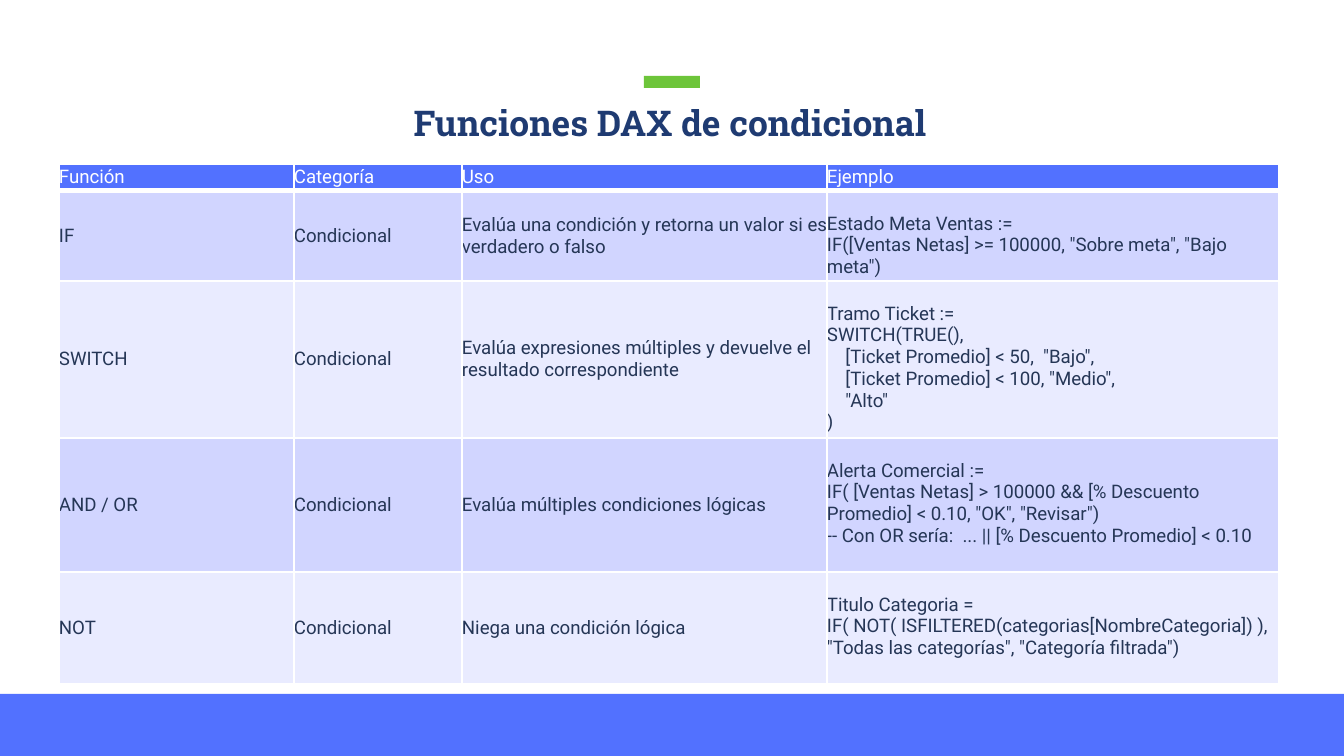
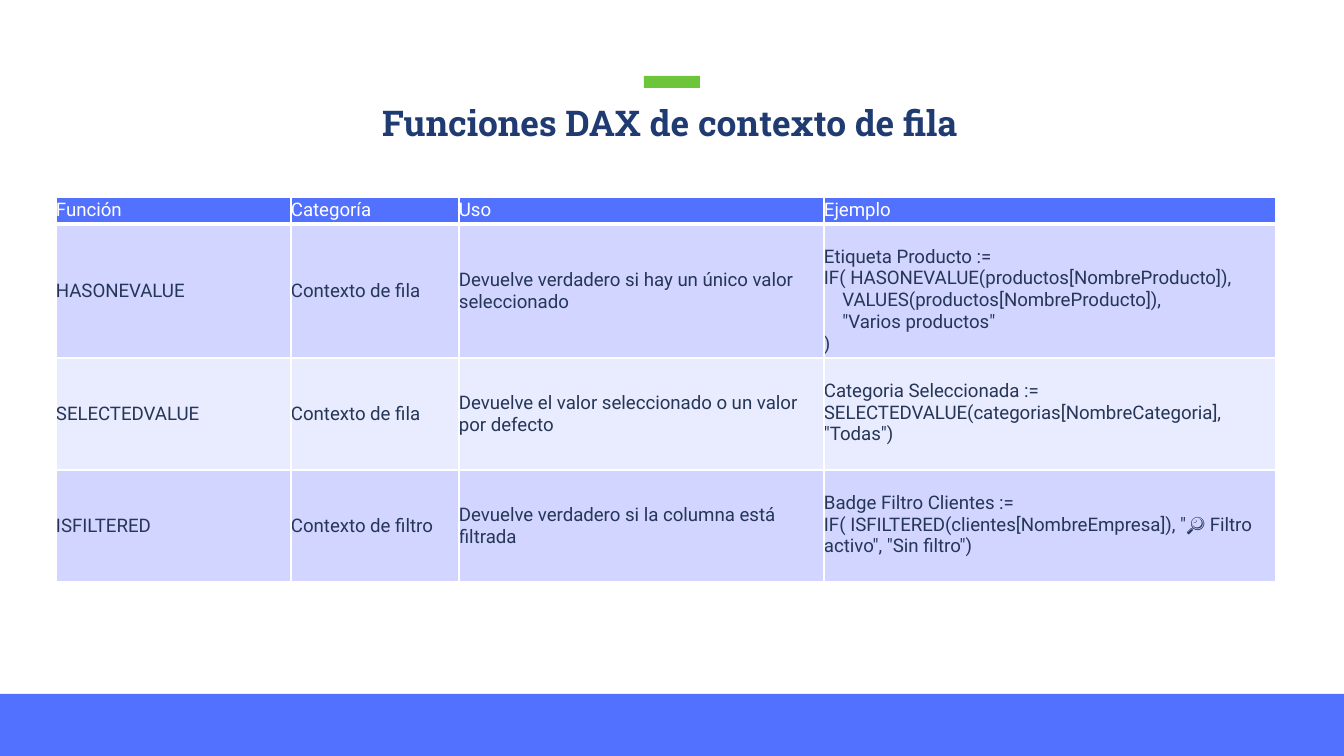
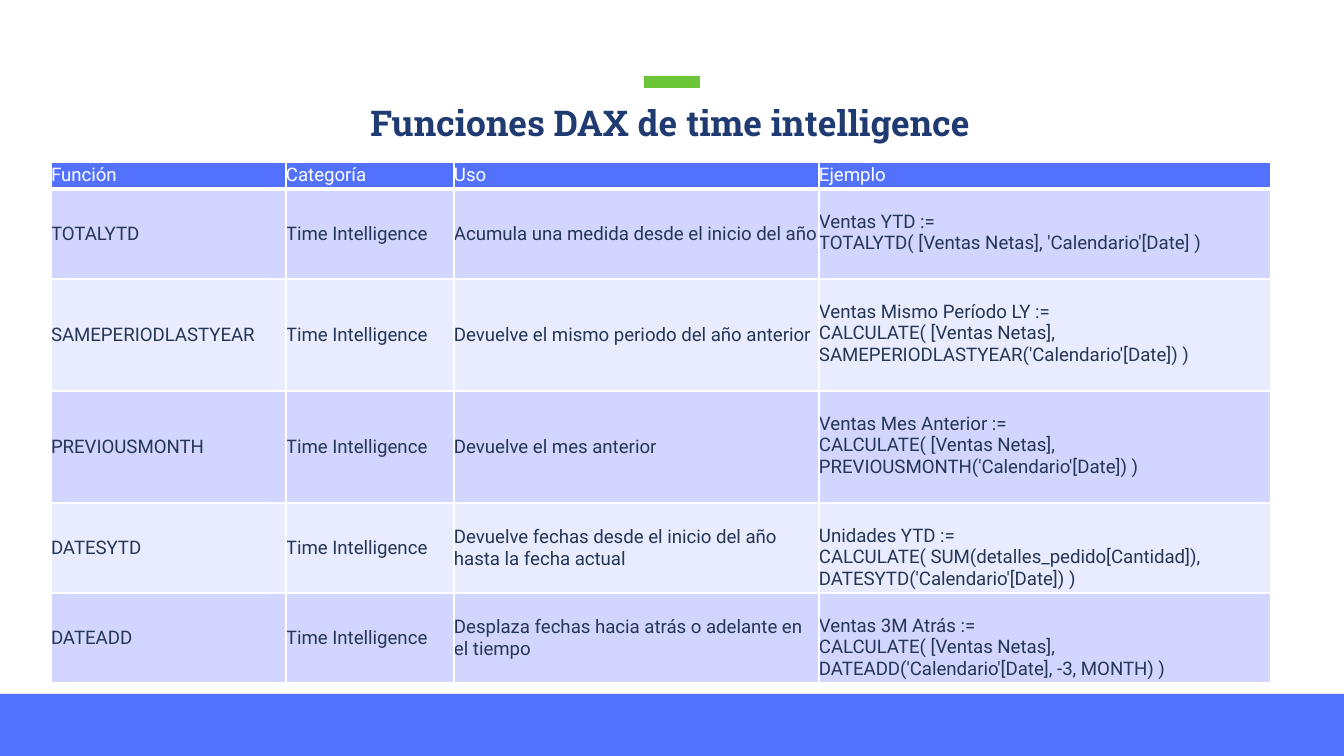
from lxml import etree
from pptx import Presentation
from pptx.dml.color import RGBColor
from pptx.enum.shapes import MSO_SHAPE
from pptx.enum.text import MSO_ANCHOR, PP_ALIGN
from pptx.oxml.ns import qn
from pptx.util import Pt

RECT = MSO_SHAPE.RECTANGLE
TOP, MIDDLE = MSO_ANCHOR.TOP, MSO_ANCHOR.MIDDLE
CENTER = PP_ALIGN.CENTER

WIDTH, HEIGHT = 1344, 756
EMU_PER_PX = 9144000 / WIDTH
COLORS = {
    "title": "1F3B72", "text": "253656", "blue": "5271FF", "green": "6DC53A",
    "dark_row": "D1D5FF", "light_row": "E9EBFF", "white": "FFFFFF",
}
TITLE_FONT, BODY_FONT = "Roboto Slab", "Roboto"

HEADERS = ["Función", "Categoría", "Uso", "Ejemplo"]
COLUMN_WIDTHS = [235, 168, 365, 452]
HEADER_HEIGHT = 27
LINE_HEIGHT = 22.4
EXAMPLE_TOP = 22

# Each table row: height in text lines, then the four cells.
SLIDES = [
    ("Funciones DAX de condicional", 59, 164, [
        (4, "IF", "Condicional",
         "Evalúa una condición y retorna un valor si es verdadero o falso",
         'Estado Meta Ventas :=\n'
         'IF([Ventas Netas] >= 100000, "Sobre meta", "Bajo meta")'),
        (7, "SWITCH", "Condicional",
         "Evalúa expresiones múltiples y devuelve el resultado correspondiente",
         'Tramo Ticket :=\n'
         'SWITCH(TRUE(),\n'
         '    [Ticket Promedio] < 50,  "Bajo",\n'
         '    [Ticket Promedio] < 100, "Medio",\n'
         '    "Alto"\n'
         ')'),
        (6, "AND / OR", "Condicional", "Evalúa múltiples condiciones lógicas",
         'Alerta Comercial :=\n'
         'IF( [Ventas Netas] > 100000 && [% Descuento Promedio] < 0.10, "OK", "Revisar")\n'
         '-- Con OR sería:  ... || [% Descuento Promedio] < 0.10'),
        (5, "NOT", "Condicional", "Niega una condición lógica",
         'Titulo Categoria =\n'
         'IF( NOT( ISFILTERED(categorias[NombreCategoria]) ), '
         '"Todas las categorías", "Categoría filtrada")'),
    ]),
    ("Funciones DAX de contexto de fila", 56, 197, [
        (6, "HASONEVALUE", "Contexto de fila",
         "Devuelve verdadero si hay un único valor seleccionado",
         'Etiqueta Producto :=\n'
         'IF( HASONEVALUE(productos[NombreProducto]),\n'
         '    VALUES(productos[NombreProducto]),\n'
         '    "Varios productos"\n'
         ')'),
        (5, "SELECTEDVALUE", "Contexto de fila",
         "Devuelve el valor seleccionado o un valor por defecto",
         'Categoria Seleccionada :=\n'
         'SELECTEDVALUE(categorias[NombreCategoria], "Todas")'),
        (5, "ISFILTERED", "Contexto de filtro",
         "Devuelve verdadero si la columna está filtrada",
         'Badge Filtro Clientes :=\n'
         'IF( ISFILTERED(clientes[NombreEmpresa]), "🔎 Filtro activo", "Sin filtro")'),
    ]),
    ("Funciones DAX de time intelligence", 51, 162, [
        (4, "TOTALYTD", "Time Intelligence",
         "Acumula una medida desde el inicio del año",
         "Ventas YTD :=\n"
         "TOTALYTD( [Ventas Netas], 'Calendario'[Date] )"),
        (5, "SAMEPERIODLASTYEAR", "Time Intelligence",
         "Devuelve el mismo periodo del año anterior",
         "Ventas Mismo Período LY :=\n"
         "CALCULATE( [Ventas Netas], SAMEPERIODLASTYEAR('Calendario'[Date]) )"),
        (5, "PREVIOUSMONTH", "Time Intelligence", "Devuelve el mes anterior",
         "Ventas Mes Anterior :=\n"
         "CALCULATE( [Ventas Netas], PREVIOUSMONTH('Calendario'[Date]) )"),
        (4, "DATESYTD", "Time Intelligence",
         "Devuelve fechas desde el inicio del año hasta la fecha actual",
         "Unidades YTD :=\n"
         "CALCULATE( SUM(detalles_pedido[Cantidad]), DATESYTD('Calendario'[Date]) )"),
        (4, "DATEADD", "Time Intelligence",
         "Desplaza fechas hacia atrás o adelante en el tiempo",
         "Ventas 3M Atrás :=\n"
         "CALCULATE( [Ventas Netas], DATEADD('Calendario'[Date], -3, MONTH) )"),
    ]),
]


def px(n):
    return round(n * EMU_PER_PX)


def rgb(name):
    return RGBColor.from_string(COLORS[name])


def set_borders(cell, bottom):
    """Draw white cell borders, 1 pt wide except for the bottom one."""
    tc_pr = cell._tc.get_or_add_tcPr()
    for i, (side, width) in enumerate([("L", 1), ("R", 1), ("T", 1), ("B", bottom)]):
        ln = etree.Element(qn(f"a:ln{side}"), w=str(Pt(width)))
        fill = etree.SubElement(ln, qn("a:solidFill"))
        etree.SubElement(fill, qn("a:srgbClr"), val=COLORS["white"])
        tc_pr.insert(i, ln)


class Deck:
    def __init__(self):
        self.prs = Presentation()
        self.prs.slide_width, self.prs.slide_height = px(WIDTH), px(HEIGHT)
        self.s = None

    def add_slide(self, title):
        """Start a slide with the shared title, footer band and accent bar."""
        self.s = self.prs.slides.add_slide(self.prs.slide_layouts[6])
        self.title(title)
        self.bar(0, 694, WIDTH, 62, "blue")
        self.bar(644, 76, 56, 12, "green")

    def style(self, p, font, size, color, bold=False):
        p.font.name, p.font.size, p.font.bold = font, Pt(size), bold
        p.font.color.rgb = rgb(color)

    def title(self, text):
        tf = self.s.shapes.add_textbox(px(105), px(108), px(1130), px(36)).text_frame
        tf.word_wrap = True
        tf.margin_left = tf.margin_right = tf.margin_top = tf.margin_bottom = 0
        p = tf.paragraphs[0]
        p.text, p.alignment, p.line_spacing = text, CENTER, Pt(19.3)
        self.style(p, TITLE_FONT, 19, "title", bold=True)

    def bar(self, x, y, w, h, color):
        sp = self.s.shapes.add_shape(RECT, px(x), px(y), px(w), px(h))
        sp.shadow.inherit = False
        sp.fill.solid()
        sp.fill.fore_color.rgb = rgb(color)
        sp.line.fill.background()

    def cell(self, cell, text, fill, color="text", bottom=1, is_example=False):
        cell.margin_left = cell.margin_right = cell.margin_bottom = 0
        cell.margin_top = px(EXAMPLE_TOP) if is_example else 0
        cell.vertical_anchor = TOP if is_example else MIDDLE
        cell.fill.solid()
        cell.fill.fore_color.rgb = rgb(fill)
        set_borders(cell, bottom)
        cell.text = text
        for p in cell.text_frame.paragraphs:
            self.style(p, BODY_FONT, 10, color)

    def function_table(self, x, y, rows):
        heights = [HEADER_HEIGHT] + [round(row[0] * LINE_HEIGHT) for row in rows]
        table = self.s.shapes.add_table(
            len(heights), len(HEADERS), px(x), px(y),
            px(sum(COLUMN_WIDTHS)), px(sum(heights))).table
        for column, width in zip(table.columns, COLUMN_WIDTHS):
            column.width = px(width)
        for row, height in zip(table.rows, heights):
            row.height = px(height)
        for c, header in enumerate(HEADERS):
            self.cell(table.cell(0, c), header, "blue", "white", bottom=3)
        for r, (_, *texts) in enumerate(rows, 1):
            fill = "dark_row" if r % 2 else "light_row"
            for c, text in enumerate(texts):
                self.cell(table.cell(r, c), text, fill,
                          is_example=HEADERS[c] == "Ejemplo")


def main():
    deck = Deck()
    for title, x, y, rows in SLIDES:
        deck.add_slide(title)
        deck.function_table(x, y, rows)
    deck.prs.save("out.pptx")


if __name__ == "__main__":
    main()
